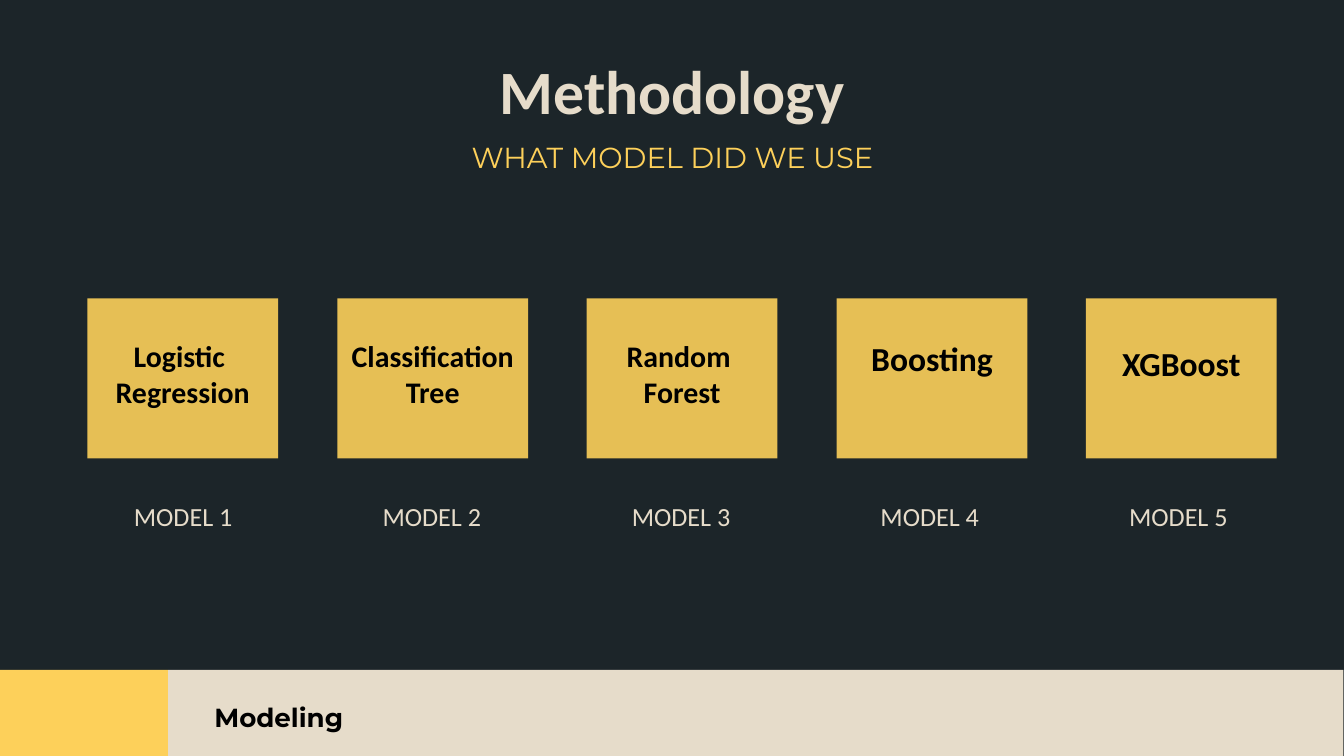
from lxml.etree import SubElement
from pptx import Presentation
from pptx.dml.color import RGBColor
from pptx.enum.shapes import MSO_SHAPE
from pptx.enum.text import MSO_ANCHOR, MSO_AUTO_SIZE, PP_ALIGN
from pptx.oxml.ns import qn
from pptx.util import Emu, Pt

EMU_PER_PX = 9144
DARK = RGBColor(0x1C, 0x25, 0x29)
YELLOW = RGBColor(0xFD, 0xD0, 0x5A)
CREAM = RGBColor(0xE6, 0xDC, 0xCA)
BLACK = RGBColor(0, 0, 0)

MODELS = [
    ("Logistic \nRegression", 32, 59),
    ("Classification\nTree", 32, 59),
    ("Random \nForest", 32, 59),
    ("Boosting", 36, 59),
    ("XGBoost", 36, 66),
]
CARD_LEFT, CARD_PITCH = 130, 371.6
LABEL_LEFT, LABEL_PITCH = 85, 370.25


def px(length):
    return Emu(length * EMU_PER_PX)


def set_attributes(target, values):
    for name, value in values.items():
        setattr(target, name, value)


def write_text(shape, text, size, color, font="Calibri", bold=False,
               align=PP_ALIGN.CENTER, spacing=1.0, insets=(0, 0, 0, 0)):
    left, top, right, bottom = map(px, insets)
    frame = shape.text_frame
    set_attributes(frame, {
        "text": text, "word_wrap": True, "auto_size": MSO_AUTO_SIZE.NONE,
        "vertical_anchor": MSO_ANCHOR.TOP, "margin_left": left,
        "margin_top": top, "margin_right": right, "margin_bottom": bottom,
    })
    for paragraph in frame.paragraphs:
        set_attributes(paragraph, {"alignment": align, "line_spacing": spacing})
        for run in paragraph.runs:
            set_attributes(run.font, {"name": font, "size": Pt(size), "bold": bold})
            run.font.color.rgb = color


def add_title(slide, box, text):
    title = slide.shapes.title
    set_attributes(title, dict(zip(("left", "top", "width", "height"), map(px, box))))
    write_text(title, text, 66, CREAM, bold=True)


def add_label(slide, box, text, size, color, **text_format):
    label = slide.shapes.add_textbox(*map(px, box))
    write_text(label, text, size, color, **text_format)


def add_block(slide, box, color, opacity=100):
    block = slide.shapes.add_shape(MSO_SHAPE.RECTANGLE, *map(px, box))
    block.shadow.inherit = False
    block.fill.solid()
    block.fill.fore_color.rgb = color
    block.line.fill.background()
    if opacity < 100:
        rgb = block.fill._xPr.find(qn("a:solidFill")).find(qn("a:srgbClr"))
        SubElement(rgb, qn("a:alpha"), val=str(opacity * 1000))
    return block


def add_model(slide, index, name, size, inset_top):
    card_left = round(CARD_LEFT + index * CARD_PITCH)
    card = add_block(slide, (card_left, 444, 284, 238), YELLOW, opacity=90)
    write_text(card, name, size, BLACK, bold=True, insets=(10, inset_top, 10, 5))
    label_left = round(LABEL_LEFT + index * LABEL_PITCH)
    add_label(slide, (label_left, 722, 375, 47), f"MODEL {index + 1}",
              28, CREAM, spacing=1.5)


def add_footer(slide, text):
    add_block(slide, (0, 997, 250, 128), YELLOW)
    add_block(slide, (250, 997, 1749, 128), CREAM)
    add_label(slide, (319, 1035, 1181, 47), text, 28, BLACK, font="Montserrat",
              bold=True, align=PP_ALIGN.LEFT, spacing=1.2)


def main():
    presentation = Presentation()
    set_attributes(presentation, {"slide_width": px(2000), "slide_height": px(1125)})
    slide = presentation.slides.add_slide(presentation.slide_layouts[5])
    slide.background.fill.solid()
    slide.background.fill.fore_color.rgb = DARK
    add_title(slide, (615, 78, 771, 111), "Methodology")
    add_label(slide, (365, 197, 1271, 52), "WHAT MODEL DID WE USE", 31, YELLOW,
              font="Montserrat", spacing=1.2)
    for index, model in enumerate(MODELS):
        add_model(slide, index, *model)
    add_footer(slide, "Modeling")
    presentation.save("out.pptx")


if __name__ == "__main__":
    main()
